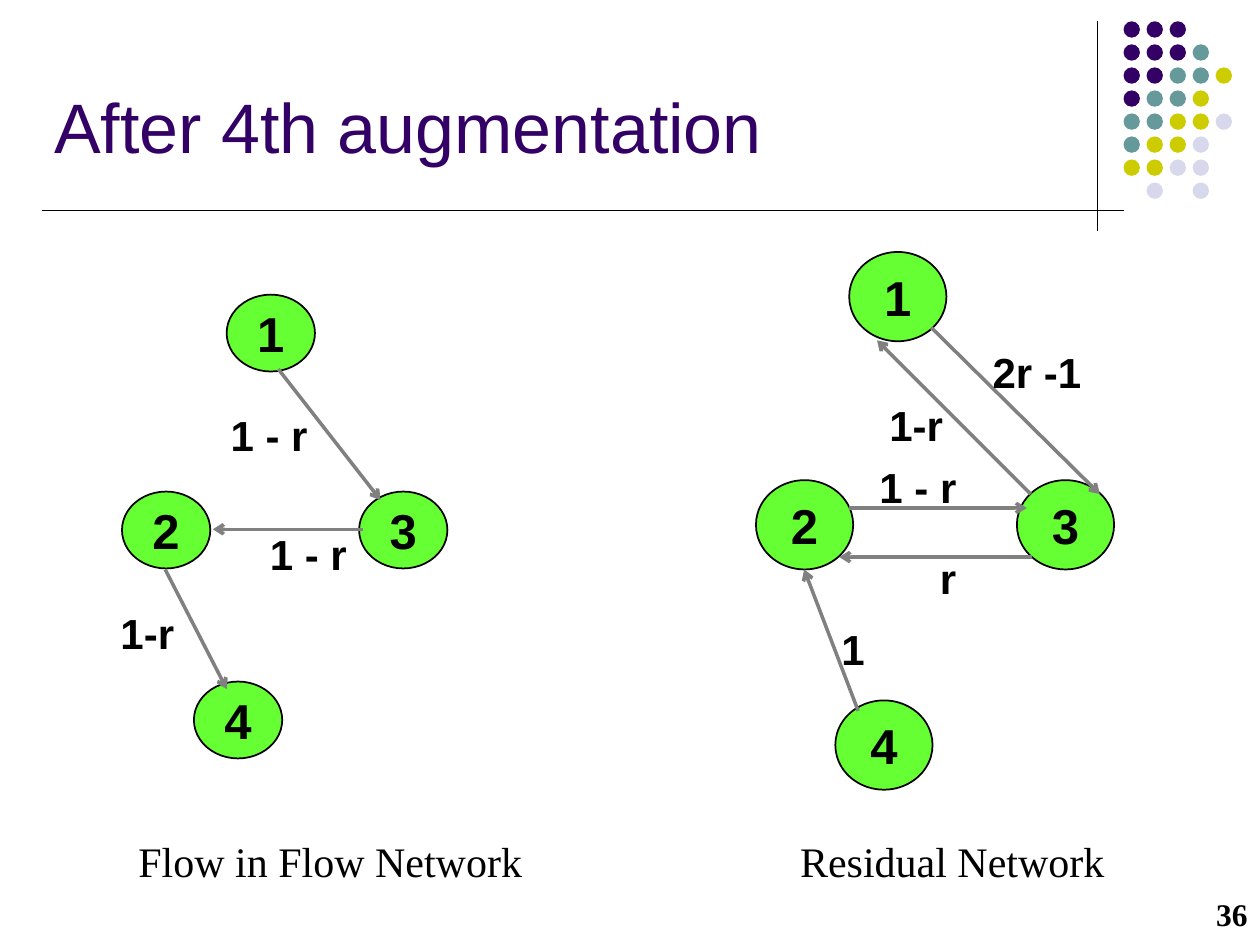
from lxml import etree
from pptx import Presentation
from pptx.dml.color import RGBColor
from pptx.enum.shapes import MSO_CONNECTOR, MSO_SHAPE
from pptx.enum.text import MSO_ANCHOR, MSO_AUTO_SIZE, PP_ALIGN
from pptx.oxml.ns import qn
from pptx.util import Cm, Pt

STRAIGHT, OVAL = MSO_CONNECTOR.STRAIGHT, MSO_SHAPE.OVAL
LEFT, CENTER, RIGHT = PP_ALIGN.LEFT, PP_ALIGN.CENTER, PP_ALIGN.RIGHT
TOP, MIDDLE, BOTTOM = MSO_ANCHOR.TOP, MSO_ANCHOR.MIDDLE, MSO_ANCHOR.BOTTOM
SANS, SERIF = "Arial", "Times New Roman"

COLORS = {
    "text": "000000", "purple": "330066", "teal": "669999", "olive": "CCCC00",
    "pale": "D8D8EC", "node": "66FF33", "edge": "808080",
}

TITLE = "After 4th augmentation"
PAGE = "36"
DOT_ROWS = ["PPP", "PPPT", "PPTTO", "PTTO", "TTOOL", "TOOL", "OOLL", " L L"]
DOT_COLORS = {"P": "purple", "T": "teal", "O": "olive", "L": "pale"}
DOT_LEFT, DOT_TOP, DOT_SIZE = 22.65, 0.43, 0.33
DOT_PITCH = 3.25 / (len(DOT_ROWS) - 1)
RULES = [(22.12, 0.43, 22.12, 4.65), (0.84, 4.24, 22.66, 4.24)]
LINE_HEIGHT = 1.27

NETWORKS = [
    {
        "caption": ("Flow in Flow Network", 2.54, 16.71, 8.23),
        "node_size": (1.78, 1.55),
        "nodes": {"1": (4.57, 5.94), "2": (2.46, 9.91), "3": (7.24, 9.91), "4": (3.91, 13.74)},
        "edges": [
            (5.61, 7.44, 7.67, 10.08),
            (3.33, 11.48, 4.57, 13.89),
            (7.32, 10.67, 4.29, 10.67),
        ],
        "labels": [
            ("1 - r", 4.4, 8.13, 2.36),
            ("1 - r", 5.19, 10.52, 2.4),
            ("1-r", 2.18, 12.12, 1.78),
        ],
    },
    {
        "caption": ("Residual Network", 15.88, 16.71, 6.63),
        "node_size": (1.96, 1.8),
        "nodes": {"1": (17.12, 5.08), "2": (15.24, 9.68), "3": (20.5, 9.68), "4": (16.84, 14.12)},
        "edges": [
            (18.77, 6.6, 22.17, 9.96),
            (20.78, 9.96, 17.68, 6.86),
            (17.12, 10.24, 20.7, 10.24),
            (20.8, 11.23, 16.92, 11.23),
            (17.3, 14.33, 16.21, 11.48),
        ],
        "labels": [
            ("2r -1", 19.76, 6.86, 3.78),
            ("1-r", 17.68, 7.92, 1.7),
            ("1 - r", 17.48, 9.17, 2.9),
            ("r", 18.7, 11.02, 2.68),
            ("1", 16.71, 12.45, 1.17),
        ],
    },
]


def rgb(name):
    return RGBColor.from_string(COLORS[name])


def write(sp, text, size, font=SANS, bold=False, color="text",
          align=LEFT, anchor=TOP, wrap=True):
    tf = sp.text_frame
    tf.text = text
    tf.word_wrap = wrap
    tf.auto_size = MSO_AUTO_SIZE.NONE
    tf.vertical_anchor = anchor
    p = tf.paragraphs[0]
    p.alignment = align
    f = p.runs[0].font
    f.name, f.size, f.bold = font, Pt(size), bold
    f.color.rgb = rgb(color)


def add_text(text, x, y, w, size, **style):
    sp = s.shapes.add_textbox(Cm(x), Cm(y), Cm(w), Cm(LINE_HEIGHT))
    write(sp, text, size, **style)


def add_oval(x, y, w, h, fill):
    sp = s.shapes.add_shape(OVAL, Cm(x), Cm(y), Cm(w), Cm(h))
    sp.shadow.inherit = False
    sp.fill.solid()
    sp.fill.fore_color.rgb = rgb(fill)
    sp.line.fill.background()
    return sp


def add_line(points, color, width, arrow=False):
    cx = s.shapes.add_connector(STRAIGHT, *[Cm(v) for v in points])
    cx.line.color.rgb = rgb(color)
    cx.line.width = Pt(width)
    if arrow:
        ln = cx.line._get_or_add_ln()
        etree.SubElement(ln, qn("a:tailEnd"), type="arrow")
    etree.SubElement(cx._element.spPr, qn("a:effectLst"))


prs = Presentation()
prs.slide_width, prs.slide_height = Cm(25.4), Cm(19.05)
s = prs.slides.add_slide(prs.slide_layouts[5])

title = s.shapes.title
title.left, title.top, title.width, title.height = Cm(0.84), Cm(1.9), Cm(22.86), Cm(1.6)
write(title, TITLE, 40, color="purple", anchor=BOTTOM)

for rule in RULES:
    add_line(rule, "text", 0.75)

for row, dots in enumerate(DOT_ROWS):
    for col, dot in enumerate(dots):
        if dot in DOT_COLORS:
            add_oval(DOT_LEFT + col * DOT_PITCH, DOT_TOP + row * DOT_PITCH,
                     DOT_SIZE, DOT_SIZE, DOT_COLORS[dot])

for network in NETWORKS:
    for name, (x, y) in network["nodes"].items():
        node = add_oval(x, y, *network["node_size"], "node")
        node.line.color.rgb = rgb("text")
        node.line.width = Pt(1)
        write(node, name, 28, bold=True, align=CENTER, anchor=MIDDLE, wrap=False)
    for edge in network["edges"]:
        add_line(edge, "edge", 2, arrow=True)
    for label in network["labels"]:
        add_text(*label, 24, bold=True)
    add_text(*network["caption"], 24, font=SERIF, wrap=False)

add_text(PAGE, 20.52, 17.78, 4.88, 18, font=SERIF, bold=True, align=RIGHT, anchor=MIDDLE)

prs.save("out.pptx")
